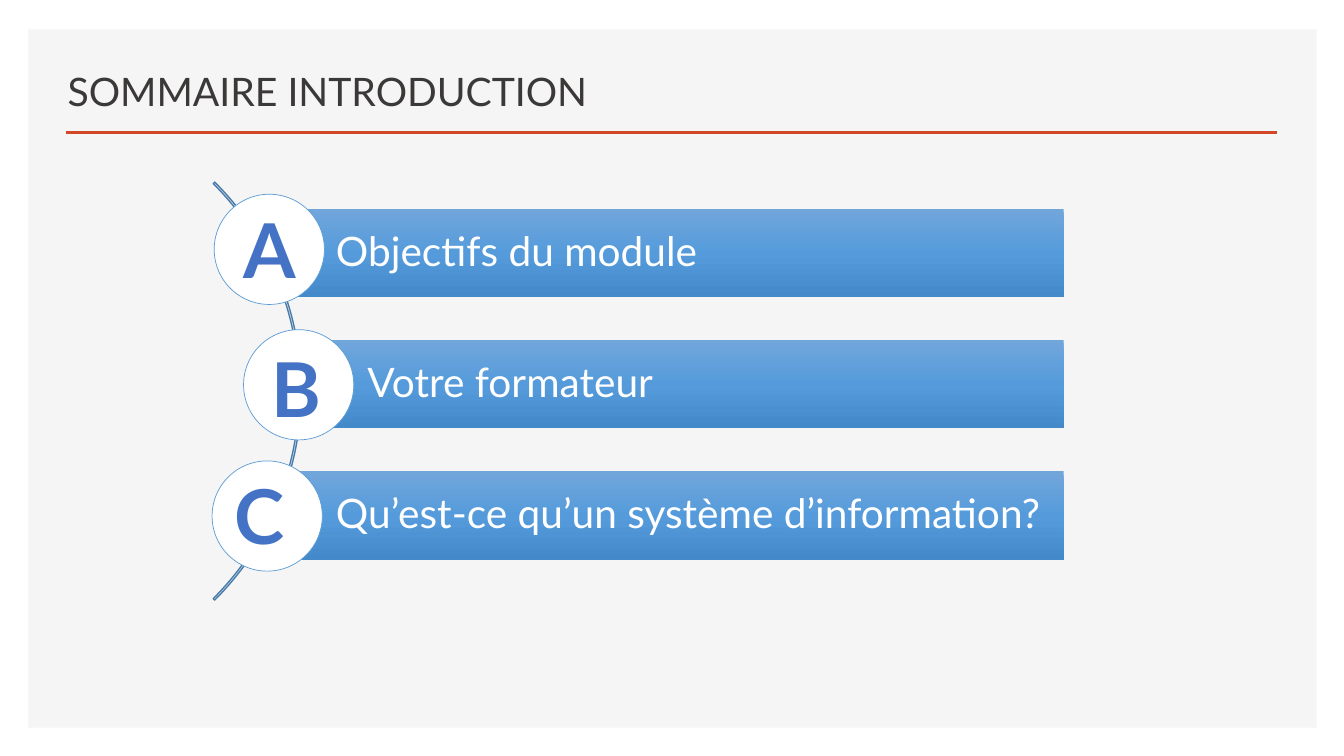
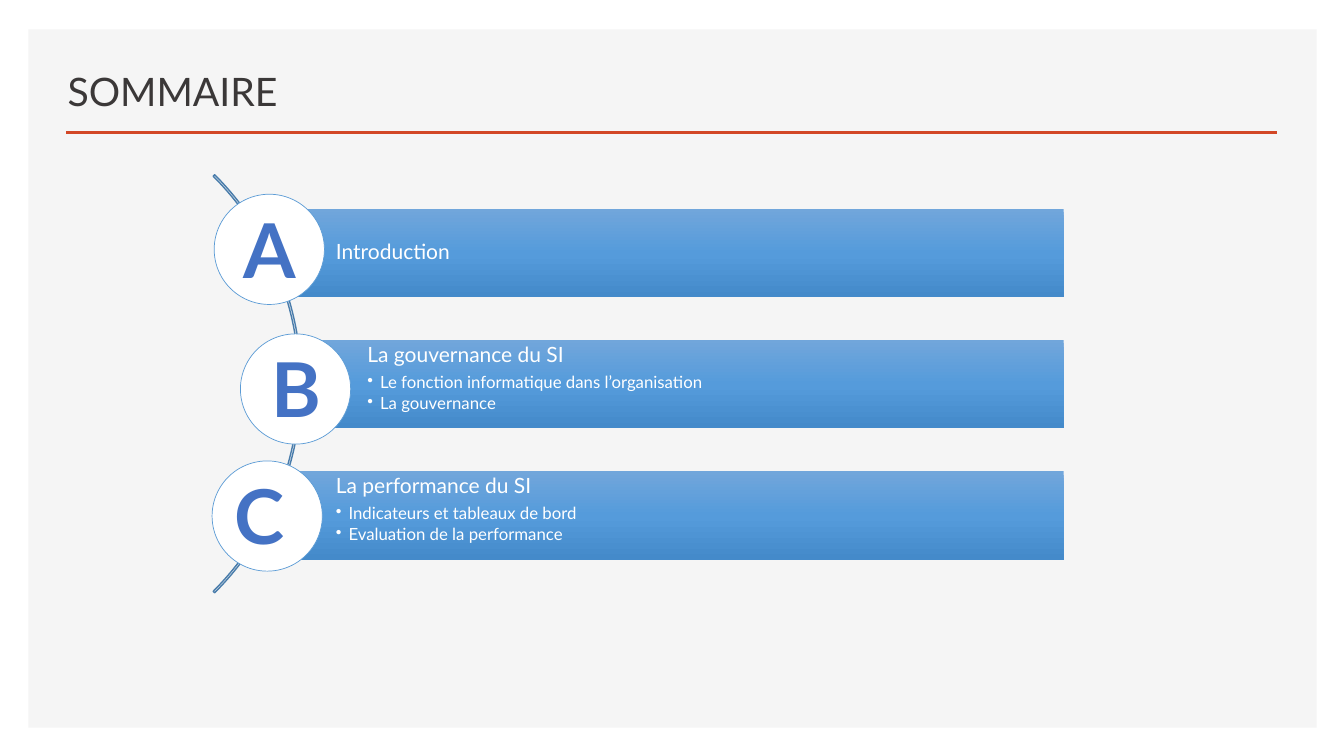
from copy import deepcopy

from lxml import etree
from pptx import Presentation
from pptx.dml.color import RGBColor
from pptx.enum.shapes import MSO_CONNECTOR, MSO_SHAPE
from pptx.enum.text import MSO_ANCHOR, PP_ALIGN
from pptx.oxml.ns import qn
from pptx.util import Pt

RECTANGLE, OVAL, BLOCK_ARC = MSO_SHAPE.RECTANGLE, MSO_SHAPE.OVAL, MSO_SHAPE.BLOCK_ARC
STRAIGHT = MSO_CONNECTOR.STRAIGHT
TOP, MIDDLE, BOTTOM = MSO_ANCHOR.TOP, MSO_ANCHOR.MIDDLE, MSO_ANCHOR.BOTTOM
LEFT, CENTER = PP_ALIGN.LEFT, PP_ALIGN.CENTER

EMU_PER_PX = 9525
FONT = "Lato"
WHITE, PANEL, TITLE = "FFFFFF", "F5F5F5", "3B3838"
ACCENT, ARC, RING, LETTER = "D24726", "497CAB", "5B9BD5", "4472C4"
BAR_STOPS = [(0, "71A6DB"), (0.5, "559BDB"), (1, "448ACA")]

BAR_TOP, BAR_PITCH, BAR_HEIGHT, BAR_RIGHT = 199, 125, 84, 1013
BAR_LEFTS = [254, 284, 254]
CIRCLE_SIZE = 105
LETTER_SPOTS = [("A", 222, 189), ("B", 247, 321), ("C", 212, 442)]
ARC_SIZE, ARC_THICKNESS = 563, 2
BULLET_INDENT = 12

AGENDAS = [
    {
        "title": "SOMMAIRE INTRODUCTION",
        "arc_top": 91,
        "circles": [(204, 185), (232, 314), (202, 439)],
        "size": 29,
        "inset": 8,
        "entries": [
            ("Objectifs du module", []),
            ("Votre formateur", []),
            ("Qu’est-ce qu’un système d’information?", []),
        ],
    },
    {
        "title": "SOMMAIRE",
        "arc_top": 84,
        "circles": [(204, 185), (229, 318), (202, 439)],
        "size": 15,
        "inset": 4,
        "entries": [
            ("Introduction", []),
            ("La gouvernance du SI",
             ["Le fonction informatique dans l’organisation", "La gouvernance"]),
            ("La performance du SI",
             ["Indicateurs et tableaux de bord", "Evaluation de la performance"]),
        ],
    },
]


def px(length):
    """Turn px into EMU."""
    return length * EMU_PER_PX


def color(value):
    """Turn a hex string into a colour."""
    return RGBColor.from_string(value)


def style_paragraph(paragraph, text, size, ink, bold=False, align=LEFT):
    """Write text into a paragraph in the shared font."""
    paragraph.text = text
    paragraph.alignment = align
    font = paragraph.font
    font.name, font.size, font.bold = FONT, Pt(size), bold
    font.color.rgb = color(ink)


def add_shape(slide, kind, left, top, width, height, fill=None, line=None, weight=1):
    """Add a preset shape with optional fill and outline."""
    shape = slide.shapes.add_shape(kind, px(left), px(top), px(width), px(height))
    shape.shadow.inherit = False
    if fill:
        shape.fill.solid()
        shape.fill.fore_color.rgb = color(fill)
    else:
        shape.fill.background()
    if line:
        shape.line.color.rgb = color(line)
        shape.line.width = Pt(weight)
    else:
        shape.line.fill.background()
    return shape


def add_text(slide, text, left, top, width, height, size, ink, anchor=TOP, **style):
    """Add a one-line text box."""
    box = slide.shapes.add_textbox(px(left), px(top), px(width), px(height))
    box.text_frame.vertical_anchor = anchor
    style_paragraph(box.text_frame.paragraphs[0], text, size, ink, **style)
    return box


def add_rule(slide, left, right, top):
    """Add the horizontal accent line under the title."""
    rule = slide.shapes.add_connector(STRAIGHT, px(left), px(top), px(right), px(top))
    rule.line.color.rgb = color(ACCENT)
    rule.line.width = Pt(2)
    etree.SubElement(rule._element.spPr, qn("a:effectLst"))


def add_frame(slide, title):
    """Draw the panel, title and rule shared by all slides."""
    add_shape(slide, RECTANGLE, 27, 28, 1227, 665, PANEL)
    add_rule(slide, 63, 1216, 126)
    box = add_text(slide, title, 55, 47, 722, 67, 28, TITLE, anchor=BOTTOM)
    box.text_frame.word_wrap = True


def fill_gradient(shape, stops):
    """Fill a shape with a downward gradient of three stops."""
    shape.fill.gradient()
    shape.fill.gradient_angle = 270
    stop_list = shape._element.spPr.find(".//" + qn("a:gsLst"))
    stop_list.append(deepcopy(stop_list[0]))
    for stop, (position, value) in zip(shape.fill.gradient_stops, stops):
        stop.position = position
        stop.color.rgb = color(value)


def add_bullet(paragraph):
    """Give a paragraph a hanging bullet."""
    properties = paragraph._p.get_or_add_pPr()
    properties.set("marL", str(px(BULLET_INDENT)))
    properties.set("indent", str(-px(BULLET_INDENT)))
    etree.SubElement(properties, qn("a:buChar")).set("char", "•")


def add_bar(slide, left, top, heading, bullets, size, inset):
    """Add a gradient bar with a heading and its bullets."""
    bar = add_shape(slide, RECTANGLE, left, top, BAR_RIGHT - left, BAR_HEIGHT)
    fill_gradient(bar, BAR_STOPS)
    frame = bar.text_frame
    frame.word_wrap = True
    frame.vertical_anchor = TOP if bullets else MIDDLE
    frame.margin_left = px(66)
    frame.margin_top = frame.margin_right = frame.margin_bottom = px(inset)
    paragraph = frame.paragraphs[0]
    style_paragraph(paragraph, heading, size, WHITE)
    paragraph.line_spacing = 0.9
    if bullets:
        paragraph.space_after = Pt(5)
    for text in bullets:
        paragraph = frame.add_paragraph()
        paragraph.level = 1
        paragraph.line_spacing = 0.9
        paragraph.space_after = Pt(2)
        add_bullet(paragraph)
        style_paragraph(paragraph, text, 12, WHITE)


def add_arc(slide, top):
    """Add the thin arc that links the circles."""
    arc = add_shape(slide, BLOCK_ARC, -276, top, ARC_SIZE, ARC_SIZE, line=ARC)
    for index, value in enumerate([189, 27, ARC_THICKNESS / ARC_SIZE]):
        arc.adjustments[index] = value


def add_agenda(slide, agenda):
    """Draw one agenda slide."""
    add_frame(slide, agenda["title"])
    add_arc(slide, agenda["arc_top"])
    rows = zip(BAR_LEFTS, agenda["entries"], agenda["circles"])
    for index, (left, (heading, bullets), (circle_left, circle_top)) in enumerate(rows):
        add_bar(slide, left, BAR_TOP + index * BAR_PITCH, heading, bullets,
                agenda["size"], agenda["inset"])
        add_shape(slide, OVAL, circle_left, circle_top, CIRCLE_SIZE, CIRCLE_SIZE,
                  WHITE, RING, 0.5)
    for letter, left, top in LETTER_SPOTS:
        add_text(slide, letter, left, top, 70, 97, 54, LETTER, bold=True, align=CENTER)


def main():
    """Build and save the presentation."""
    presentation = Presentation()
    presentation.slide_width, presentation.slide_height = px(1280), px(720)
    for agenda in AGENDAS:
        add_agenda(presentation.slides.add_slide(presentation.slide_layouts[6]), agenda)
    presentation.save("out.pptx")


if __name__ == "__main__":
    main()
